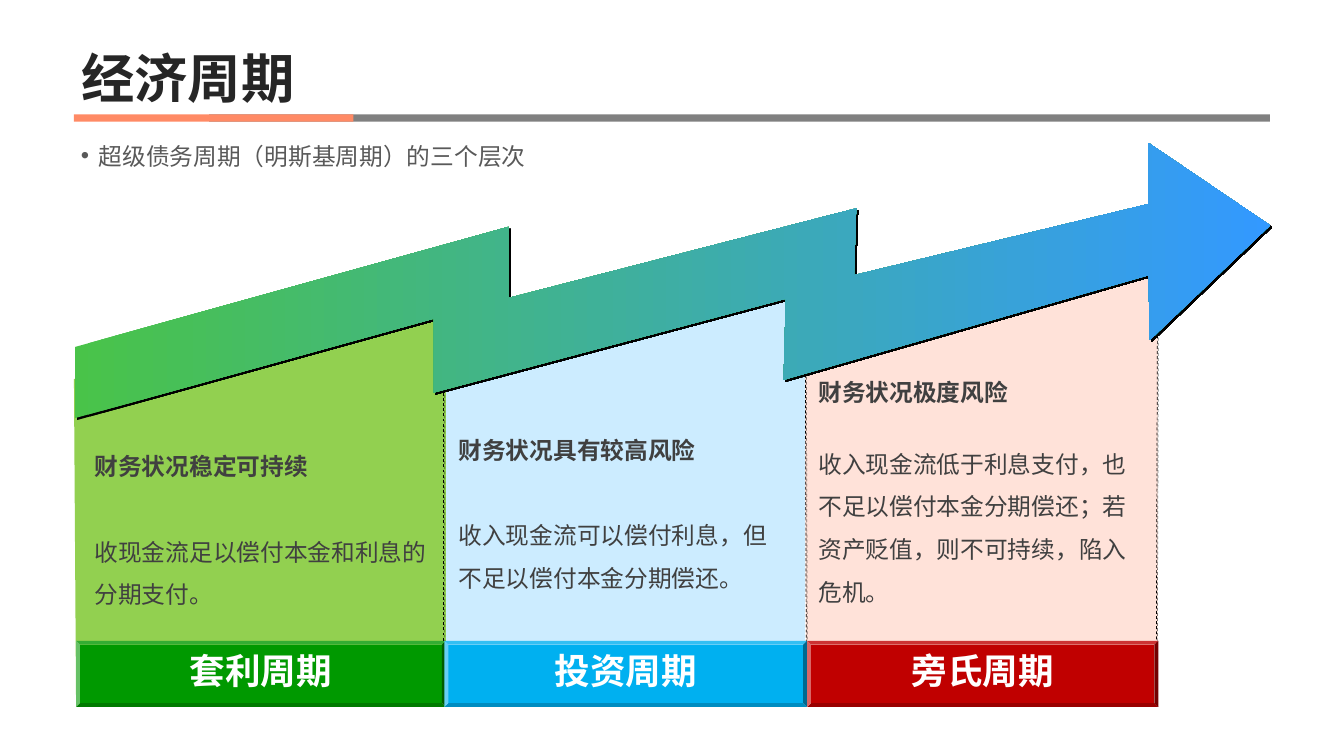
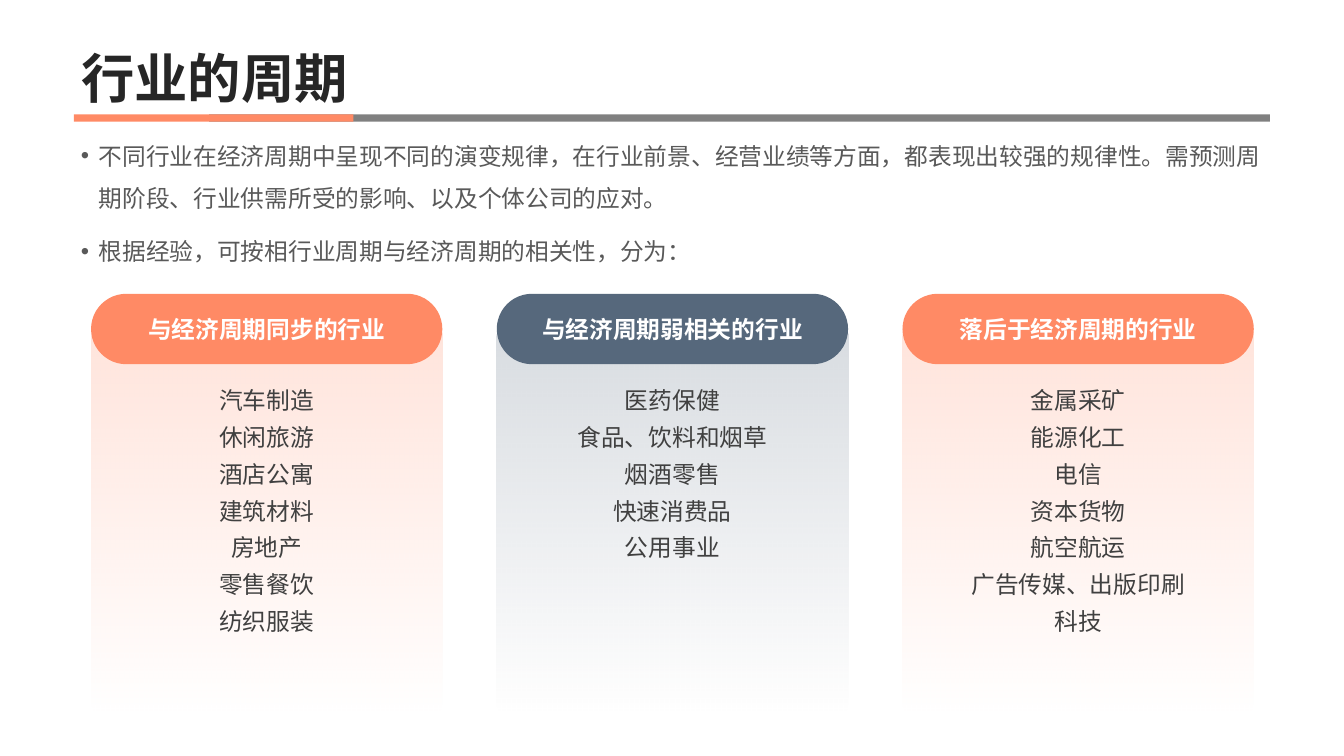
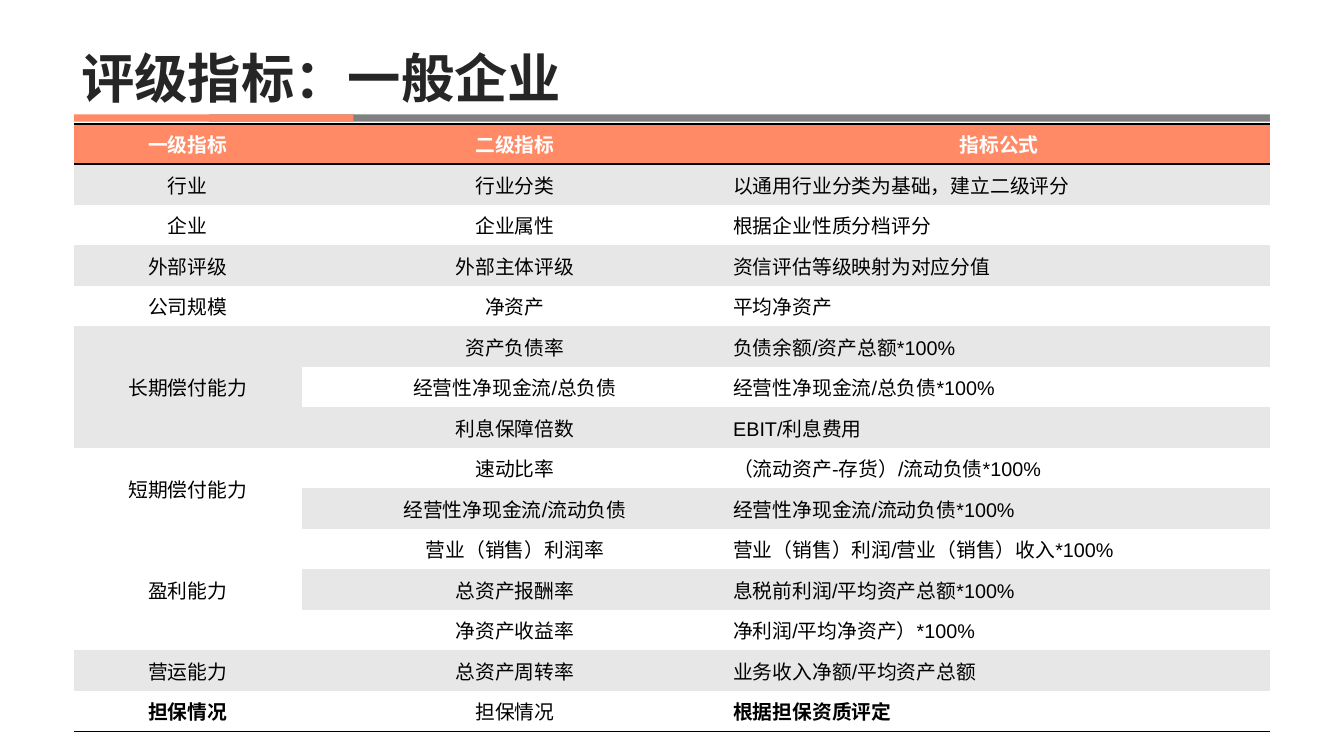
from lxml import etree
from pptx import Presentation
from pptx.dml.color import RGBColor
from pptx.enum.dml import MSO_LINE
from pptx.enum.shapes import MSO_CONNECTOR, MSO_SHAPE
from pptx.enum.text import MSO_ANCHOR, MSO_AUTO_SIZE, PP_ALIGN
from pptx.oxml.ns import qn
from pptx.util import Pt

FONT = "Arial"
ORANGE = RGBColor(0xFF, 0x8A, 0x65)
SLATE = RGBColor(0x56, 0x68, 0x7C)
GRAY = RGBColor(0x80, 0x80, 0x80)
TITLE = RGBColor(0x26, 0x26, 0x26)
BODY = RGBColor(0x59, 0x59, 0x59)
DARK = RGBColor(0x40, 0x40, 0x40)
BLACK = RGBColor(0, 0, 0)
WHITE = RGBColor(0xFF, 0xFF, 0xFF)
STRIPE = RGBColor(0xE7, 0xE7, 0xE7)
ARROW_START = RGBColor(0x49, 0xC3, 0x49)
ARROW_END = RGBColor(0x33, 0x99, 0xFF)
NO_STYLE = "{2D5ABB26-0587-4C30-8999-92F81FD0307C}"

LEFT, WIDTH = 74.9, 1211
BODY_TOP = 125.3

PHASES = [
    {"label": "套利周期", "color": RGBColor(0, 0x99, 0), "tint": RGBColor(0x92, 0xD0, 0x50),
     "bar": (77, 374.4), "note": (88.6, 439.9, 355.7), "gap": 43,
     "area": [(74.9, 383.8), (447.8, 291.6), (451.4, 355.7), (451.4, 703.4), (77, 704.9)],
     "edge": (449.3, 315.4, 449.3, 700.6),
     "head": "财务状况稳定可持续",
     "text": "收现金流足以偿付本金和利息的分期支付。"},
    {"label": "投资周期", "color": RGBColor(0, 0xB0, 0xF0), "tint": RGBColor(0xCC, 0xEC, 0xFF),
     "bar": (450, 367.2), "note": (457.2, 423.4, 349.2), "gap": 43,
     "area": [(445.7, 339.8), (811.4, 259.9), (815, 322.6), (815, 671), (448.6, 674.6)],
     "edge": (815, 224.6, 816.5, 699.8),
     "head": "财务状况具有较高风险",
     "text": "收入现金流可以偿付利息，但不足以偿付本金分期偿还。"},
    {"label": "旁氏周期", "color": RGBColor(0xC0, 0, 0), "tint": RGBColor(0xFF, 0xE2, 0xD9),
     "bar": (817.2, 355.7), "note": (821.5, 365, 349.2), "gap": 29,
     "area": [(814.3, 329), (1165.7, 226.1), (1172.2, 301.7), (1172.2, 698.4), (816.5, 702)],
     "edge": (1172.2, 241.9, 1170.7, 699.1),
     "head": "财务状况极度风险",
     "text": "收入现金流低于利息支付，也不足以偿付本金分期偿还；若资产贬值，则不可持续，陷入危机。"},
]
ARROW = [(75.6, 351.4), (514.8, 229.7), (514.8, 301.7), (866.9, 211), (864.7, 278.6),
         (1162.8, 206.6), (1162.8, 144.7), (1285.9, 228.2), (1164.2, 344.2), (1162.8, 278.6),
         (793.4, 384.5), (795.6, 302.4), (439.2, 397.4), (439.2, 322.6), (75.6, 423.4)]

CYCLE_POINTS = ["超级债务周期（明斯基周期）的三个层次"]
INDUSTRY_POINTS = [
    "不同行业在经济周期中呈现不同的演变规律，在行业前景、经营业绩等方面，都表现出较强的规律性。"
    "需预测周期阶段、行业供需所受的影响、以及个体公司的应对。",
    "根据经验，可按相行业周期与经济周期的相关性，分为：",
]
CARDS = [
    ("与经济周期同步的行业", ORANGE,
     ["汽车制造", "休闲旅游", "酒店公寓", "建筑材料", "房地产", "零售餐饮", "纺织服装"]),
    ("与经济周期弱相关的行业", SLATE,
     ["医药保健", "食品、饮料和烟草", "烟酒零售", "快速消费品", "公用事业"]),
    ("落后于经济周期的行业", ORANGE,
     ["金属采矿", "能源化工", "电信", "资本货物", "航空航运", "广告传媒、出版印刷", "科技"]),
]

COLUMNS = [230.4, 432, 548.6]
ROW_HEIGHT = 41.04
INDICATORS = [
    ("一级指标", "二级指标", "指标公式"),
    ("行业", "行业分类", "以通用行业分类为基础，建立二级评分"),
    ("企业", "企业属性", "根据企业性质分档评分"),
    ("外部评级", "外部主体评级", "资信评估等级映射为对应分值"),
    ("公司规模", "净资产", "平均净资产"),
    ("长期偿付能力", "资产负债率", "负债余额/资产总额*100%"),
    (None, "经营性净现金流/总负债", "经营性净现金流/总负债*100%"),
    (None, "利息保障倍数", "EBIT/利息费用"),
    ("短期偿付能力", "速动比率", "（流动资产-存货）/流动负债*100%"),
    (None, "经营性净现金流/流动负债", "经营性净现金流/流动负债*100%"),
    ("盈利能力", "营业（销售）利润率", "营业（销售）利润/营业（销售）收入*100%"),
    (None, "总资产报酬率", "息税前利润/平均资产总额*100%"),
    (None, "净资产收益率", "净利润/平均净资产）*100%"),
    ("营运能力", "总资产周转率", "业务收入净额/平均资产总额"),
    ("担保情况", "担保情况", "根据担保资质评定"),
]


def write(tf, text, size=24, color=DARK, bold=False, align=PP_ALIGN.LEFT,
          spacing=None, before=None, bullet=False):
    first = not tf.paragraphs[0].runs
    p = tf.paragraphs[0] if first else tf.add_paragraph()
    if bullet:
        pPr = p._p.get_or_add_pPr()
        pPr.set("marL", str(Pt(18)))
        pPr.set("indent", str(-Pt(18)))
        etree.SubElement(pPr, qn("a:buFont"), typeface=FONT)
        etree.SubElement(pPr, qn("a:buChar"), char="•")
    p.alignment = align
    if spacing:
        p.line_spacing = spacing
    if before and not first:
        p.space_before = Pt(before)
    r = p.add_run()
    r.text = text
    r.font.name, r.font.size, r.font.bold = FONT, Pt(size), bold
    r.font.color.rgb = color


def paint(sp, color):
    sp.shadow.inherit = False
    sp.fill.solid()
    sp.fill.fore_color.rgb = color
    sp.line.fill.background()
    return sp


def paint_gradient(sp, colors, angle, alphas=()):
    sp.shadow.inherit = False
    sp.line.fill.background()
    sp.fill.gradient()
    sp.fill.gradient_angle = angle
    for stop, color in zip(sp.fill.gradient_stops, colors):
        stop.color.rgb = color
    for clr, alpha in zip(sp.element.spPr.iter(qn("a:srgbClr")), alphas):
        etree.SubElement(clr, qn("a:alpha"), val=str(alpha * 1000))


def cast_shadow(sp, dist, angle, alpha):
    spPr = sp.element.spPr
    effects = spPr.find(qn("a:effectLst"))
    if effects is None:
        effects = etree.SubElement(spPr, qn("a:effectLst"))
    shadow = etree.SubElement(effects, qn("a:outerShdw"), blurRad="0", dist=str(Pt(dist)),
                              dir=str(angle * 60000), algn="ctr", rotWithShape="0")
    clr = etree.SubElement(shadow, qn("a:srgbClr"), val=str(BLACK))
    etree.SubElement(clr, qn("a:alpha"), val=str(alpha * 1000))


def add_box(slide, kind, x, y, w, h, adj=None):
    sp = slide.shapes.add_shape(kind, Pt(x), Pt(y), Pt(w), Pt(h))
    if adj is not None:
        sp.adjustments[0] = adj
    return sp


def add_text_frame(slide, x, y, w, h):
    tf = slide.shapes.add_textbox(Pt(x), Pt(y), Pt(w), Pt(h)).text_frame
    tf.word_wrap = True
    return tf


def add_outline(slide, points):
    points = [(Pt(x), Pt(y)) for x, y in points]
    builder = slide.shapes.build_freeform(*points[0])
    builder.add_line_segments(points[1:], close=True)
    return builder.convert_to_shape()


def add_slide(prs, title, points=()):
    slide = prs.slides.add_slide(prs.slide_layouts[5])
    for x, w, color in ((211.7, 1074.2, GRAY), (LEFT, 283, ORANGE)):
        paint(add_box(slide, MSO_SHAPE.RECTANGLE, x, 115.9, w, 7.2), color)
    sp = slide.shapes.title
    sp.left, sp.top, sp.width, sp.height = Pt(LEFT), Pt(0), Pt(WIDTH), Pt(114.5)
    tf = sp.text_frame
    tf.auto_size = MSO_AUTO_SIZE.NONE
    tf.vertical_anchor = MSO_ANCHOR.BOTTOM
    write(tf, title, size=54, color=TITLE, bold=True, spacing=0.9)
    if points:
        tf = add_text_frame(slide, LEFT, BODY_TOP, WIDTH, 616.3)
        for text in points:
            write(tf, text, color=BODY, spacing=1.5, before=10, bullet=True)
    return slide


def build_cycle(prs):
    slide = add_slide(prs, "经济周期", CYCLE_POINTS)
    for phase in reversed(PHASES):
        paint(add_outline(slide, phase["area"]), phase["tint"])
    for phase in PHASES:
        line = slide.shapes.add_connector(MSO_CONNECTOR.STRAIGHT, *map(Pt, phase["edge"]))
        line.line.color.rgb = BLACK
        line.line.width = Pt(0.75)
        line.line.dash_style = MSO_LINE.DASH
        cast_shadow(line, 2.2, 63, 50)
    arrow = add_outline(slide, ARROW)
    paint_gradient(arrow, (ARROW_START, ARROW_END), 0)
    cast_shadow(arrow, 2.8, 45, 100)
    for phase in PHASES:
        x, w = phase["bar"]
        bar = paint(add_box(slide, MSO_SHAPE.BEVEL, x, 648.7, w, 67, 0.059), phase["color"])
        tf = bar.text_frame
        tf.vertical_anchor = MSO_ANCHOR.MIDDLE
        tf.margin_top, tf.margin_bottom = Pt(0), Pt(8)
        write(tf, phase["label"], size=36, color=WHITE, bold=True, align=PP_ALIGN.CENTER)
        x, y, w = phase["note"]
        tf = add_text_frame(slide, x, y, w, 640 - y)
        write(tf, phase["head"], bold=True, spacing=1.5)
        write(tf, phase["text"], spacing=1.5, before=phase["gap"])


def build_industries(prs):
    slide = add_slide(prs, "行业的周期", INDUSTRY_POINTS)
    for i, (head, color, items) in enumerate(CARDS):
        x, w = 92.2 + i * 410.8, 355.7
        panel = add_box(slide, MSO_SHAPE.ROUNDED_RECTANGLE, x, 332.6, w, 389.5, 0.024)
        paint_gradient(panel, (color, color), 270, (23, 0))
        tf = panel.text_frame
        tf.vertical_anchor = MSO_ANCHOR.TOP
        tf.margin_top = Pt(46.5)
        for item in items:
            write(tf, item, align=PP_ALIGN.CENTER, spacing=1.3)
        pill = paint(add_box(slide, MSO_SHAPE.ROUNDED_RECTANGLE, x, 297.4, w, 71.3, 0.5), color)
        tf = pill.text_frame
        tf.word_wrap = False
        tf.vertical_anchor = MSO_ANCHOR.MIDDLE
        write(tf, head, color=WHITE, bold=True, align=PP_ALIGN.CENTER)


def add_border(cell, side):
    ln = etree.SubElement(cell._tc.get_or_add_tcPr(), qn("a:" + side), w=str(Pt(2)))
    etree.SubElement(etree.SubElement(ln, qn("a:solidFill")), qn("a:srgbClr"), val=str(BLACK))


def build_indicators(prs):
    slide = add_slide(prs, "评级指标：一般企业")
    rows = len(INDICATORS)
    frame = slide.shapes.add_table(rows, len(COLUMNS), Pt(LEFT), Pt(BODY_TOP),
                                   Pt(WIDTH), Pt(rows * ROW_HEIGHT))
    table = frame.table
    frame.element.find(".//" + qn("a:tableStyleId")).text = NO_STYLE
    for column, w in zip(table.columns, COLUMNS):
        column.width = Pt(w)
    for i, values in enumerate(INDICATORS):
        table.rows[i].height = Pt(ROW_HEIGHT)
        header, last = i == 0, i == rows - 1
        for j, text in enumerate(values):
            cell = table.cell(i, j)
            if header:
                add_border(cell, "lnT")
            if header or last:
                add_border(cell, "lnB")
            cell.fill.solid()
            cell.fill.fore_color.rgb = ORANGE if header else STRIPE if i % 2 else WHITE
            cell.vertical_anchor = MSO_ANCHOR.MIDDLE
            cell.margin_left = cell.margin_right = Pt(5)
            cell.margin_top = cell.margin_bottom = Pt(0)
            if text:
                write(cell.text_frame, text, size=20, color=WHITE if header else BLACK,
                      bold=header or (last and j != 1),
                      align=PP_ALIGN.CENTER if header or j < 2 else PP_ALIGN.LEFT)
    starts = [i for i, row in enumerate(INDICATORS) if row[0]] + [rows]
    for start, end in zip(starts, starts[1:]):
        if end - start > 1:
            table.cell(start, 0).merge(table.cell(end - 1, 0))


def main():
    prs = Presentation()
    prs.slide_width, prs.slide_height = Pt(1360.8), Pt(765.36)
    build_cycle(prs)
    build_industries(prs)
    build_indicators(prs)
    prs.save("out.pptx")


if __name__ == "__main__":
    main()
